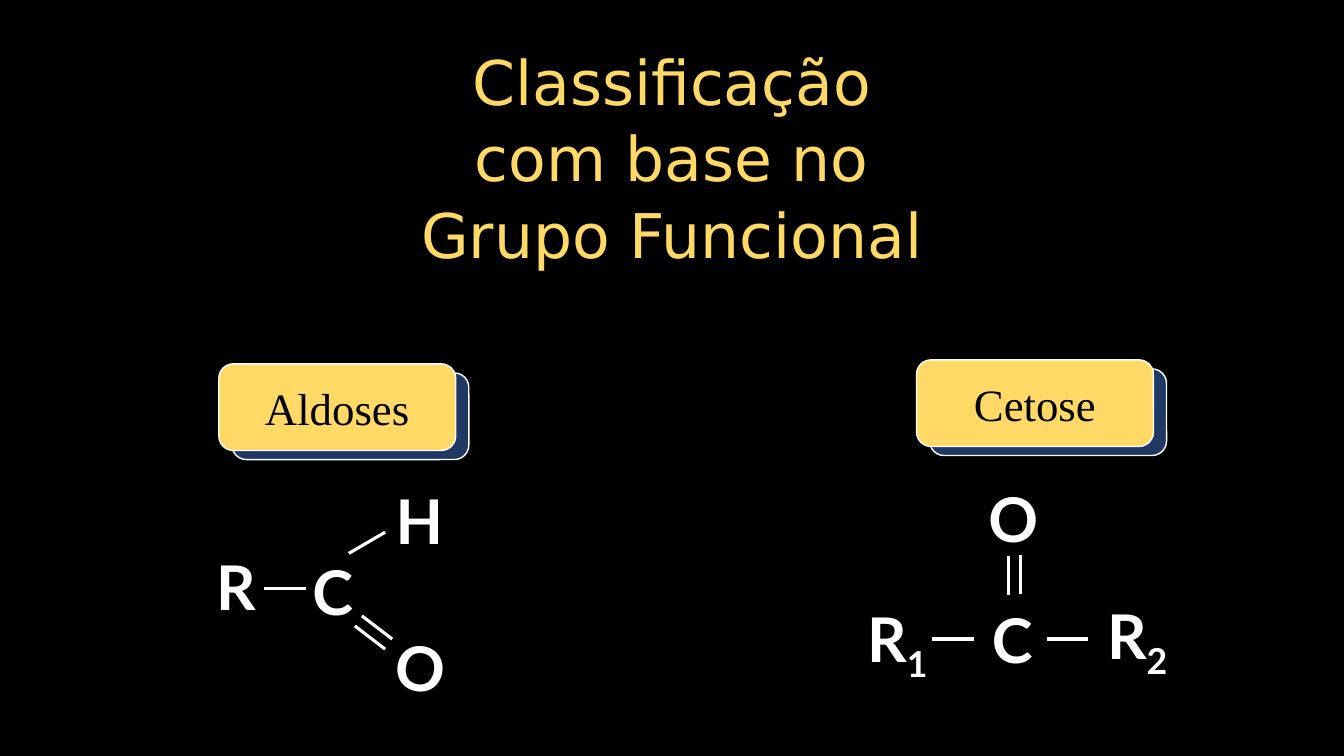
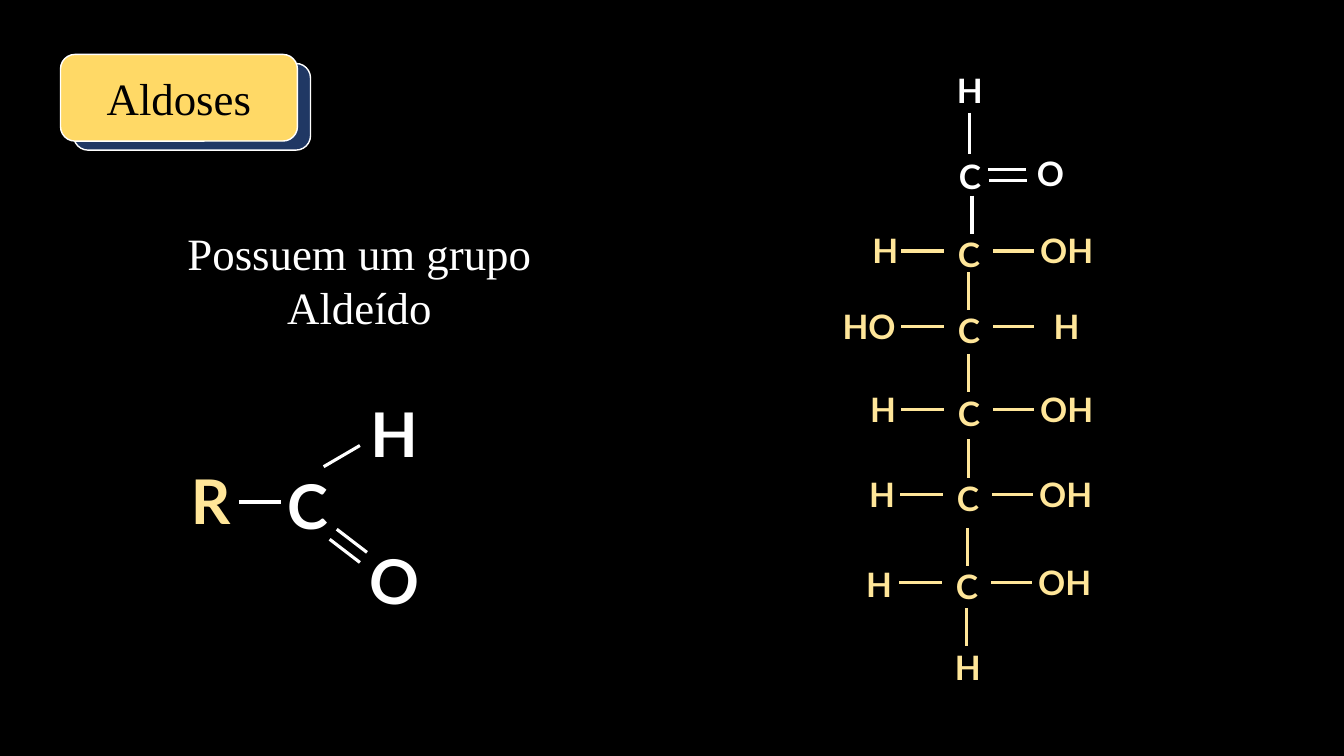
from lxml.etree import SubElement
from pptx import Presentation
from pptx.dml.color import RGBColor
from pptx.enum.shapes import MSO_CONNECTOR, MSO_SHAPE
from pptx.enum.text import MSO_ANCHOR, MSO_AUTO_SIZE, PP_ALIGN
from pptx.oxml.ns import qn
from pptx.util import Pt

PX = 9144  # 100 px to the inch
WHITE, BLACK, NAVY = "FFFFFF", "000000", "203864"
GOLD, PALE_GOLD = "FFD966", "FFE699"
SERIF, SANS, ATOM_FONT = "Times New Roman", "DejaVu Sans", "Lato"
rgb = RGBColor.from_string


def write(sp, text, font, size, color, bold=False, anchor=MSO_ANCHOR.TOP):
    """Fill a shape with centred text in one style."""
    tf = sp.text_frame
    tf.text = text
    tf.word_wrap = True
    tf.auto_size = MSO_AUTO_SIZE.NONE
    tf.vertical_anchor = anchor
    for p in tf.paragraphs:
        p.alignment = PP_ALIGN.CENTER
        p.space_before = Pt(0)
        for r in p.runs:
            r.font.name, r.font.size, r.font.bold = font, Pt(size), bold
            r.font.color.rgb = rgb(color)


def bond(slide, x1, y1, x2, y2, color=WHITE):
    line = slide.shapes.add_connector(
        MSO_CONNECTOR.STRAIGHT, x1 * PX, y1 * PX, x2 * PX, y2 * PX)
    line.line.color.rgb = rgb(color)
    line.line.width = Pt(2.25)
    SubElement(line._element.spPr, qn("a:effectLst"))


prs = Presentation()
prs.slide_width, prs.slide_height = 1333 * PX, 750 * PX
fill = prs.slide_master.background.fill
fill.solid()
fill.fore_color.rgb = rgb(BLACK)

groups = prs.slides.add_slide(prs.slide_layouts[5])
aldoses = prs.slides.add_slide(prs.slide_layouts[0])

# Heading and body text
title = groups.shapes.title
title.left, title.top, title.width, title.height = (
    v * PX for v in (233, 39, 867, 232))
write(title, "Classificação\ncom base no\nGrupo Funcional", SANS, 44, GOLD,
      anchor=MSO_ANCHOR.MIDDLE)
for p in title.text_frame.paragraphs:
    p.line_spacing = 1.03

body = aldoses.placeholders[1]
body.left, body.top, body.width, body.height = (
    v * PX for v in (147, 219, 419, 118))
write(body, "Possuem um grupo Aldeído", SERIF, 32, WHITE)

# Badges: a gold plate over a navy one
for slide, text, x, y in ((groups, "Aldoses", 217, 361),
                          (groups, "Cetose", 909, 357),
                          (aldoses, "Aldoses", 60, 54)):
    for dx, dy, color in ((13, 9, NAVY), (0, 0, GOLD)):
        sp = slide.shapes.add_shape(
            MSO_SHAPE.ROUNDED_RECTANGLE,
            (x + dx) * PX, (y + dy) * PX, 235 * PX, 86 * PX)
        sp.shadow.inherit = False
        sp.fill.solid()
        sp.fill.fore_color.rgb = rgb(color)
        sp.line.color.rgb = rgb(WHITE)
        sp.line.width = Pt(1)
    if slide is aldoses:
        # The slide title sits on top of its badge
        plate, sp = sp, slide.shapes.title
        sp.left, sp.top, sp.width, sp.height = (
            plate.left, plate.top, plate.width, plate.height)
        slide.shapes._spTree.append(sp._element)
    write(sp, text, SERIF, 32, BLACK, anchor=MSO_ANCHOR.MIDDLE)

# Atoms: slide, symbol, centre x, top, size, colour, rotation
atoms = []

# Aldehyde group, on both slides
for slide, dx, dy, r_color in ((groups, 0, 0, WHITE),
                               (aldoses, -25, -86, PALE_GOLD)):
    for x1, y1, x2, y2 in ((359, 611, 389, 634), (352, 621, 382, 644),
                           (382, 528, 346, 549), (262, 584, 304, 584)):
        bond(slide, x1 + dx, y1 + dy, x2 + dx, y2 + dy)
    for symbol, x, y, color, turn in (("O", 417, 620, WHITE, 8.7),
                                      ("C", 330, 545, WHITE, 0),
                                      ("H", 416, 474, WHITE, 0),
                                      ("R", 234, 540, r_color, 0)):
        atoms.append((slide, symbol, x + dx, y + dy, 44, color, turn))

# Ketone group
for ends in ((924, 634, 966, 634), (1038, 634, 1079, 634),
             (1000, 590, 1000, 552), (1012, 589, 1012, 551)):
    bond(groups, *ends)
for symbol, x, y in (("C", 1004, 592), ("O", 1005, 472),
                     ("R1", 890, 591), ("R2", 1128, 588)):
    atoms.append((groups, symbol, x, y, 44, WHITE, 0))

# Head of the sugar chain
for ends in ((962, 112, 962, 153), (964, 194, 964, 232),
             (980, 168, 1018, 168), (981, 179, 1019, 179)):
    bond(aldoses, *ends)
for symbol, x, y in (("H", 962, 64), ("C", 962, 150), ("O", 1042, 147)):
    atoms.append((aldoses, symbol, x, y, 24, WHITE, 0))

# Carbons: left and right groups, axis, left centre and top,
# carbon top, side bond y, top of the bond below
for left, right, axis, left_x, left_y, top, side_y, below in (
        ("H", "OH", 961, 878, 223, 227, 249, 270),
        ("HO", "H", 961, 862, 299, 303, 324, 351),
        ("H", "OH", 961, 876, 381, 385, 406, 436),
        ("H", "OH", 960, 875, 465, 469, 491, 524),
        ("H", "OH", 959, 872, 555, 557, 578, 603)):
    bond(aldoses, axis - 67, side_y, axis - 25, side_y, PALE_GOLD)
    bond(aldoses, axis + 24, side_y, axis + 65, side_y, PALE_GOLD)
    bond(aldoses, axis, below, axis, below + 38, PALE_GOLD)
    for symbol, x, y in ((left, left_x, left_y), ("C", axis, top),
                         (right, axis + 97, top - 4)):
        atoms.append((aldoses, symbol, x, y, 24, PALE_GOLD, 0))
atoms.append((aldoses, "H", 960, 637, 24, PALE_GOLD, 0))

for slide, symbol, x, y, size, color, turn in atoms:
    w, h = (120, 84) if size == 44 else (80, 50)
    sp = slide.shapes.add_textbox((x - w // 2) * PX, y * PX, w * PX, h * PX)
    sp.rotation = turn
    write(sp, symbol.rstrip("12"), ATOM_FONT, size, color, bold=True)
    if symbol[-1].isdigit():
        r = sp.text_frame.paragraphs[0].add_run()
        r.text = symbol[-1]
        r.font.name, r.font.size, r.font.bold = ATOM_FONT, Pt(size), True
        r.font.color.rgb = rgb(color)
        r.font._element.set("baseline", "-25000")

prs.save("out.pptx")
